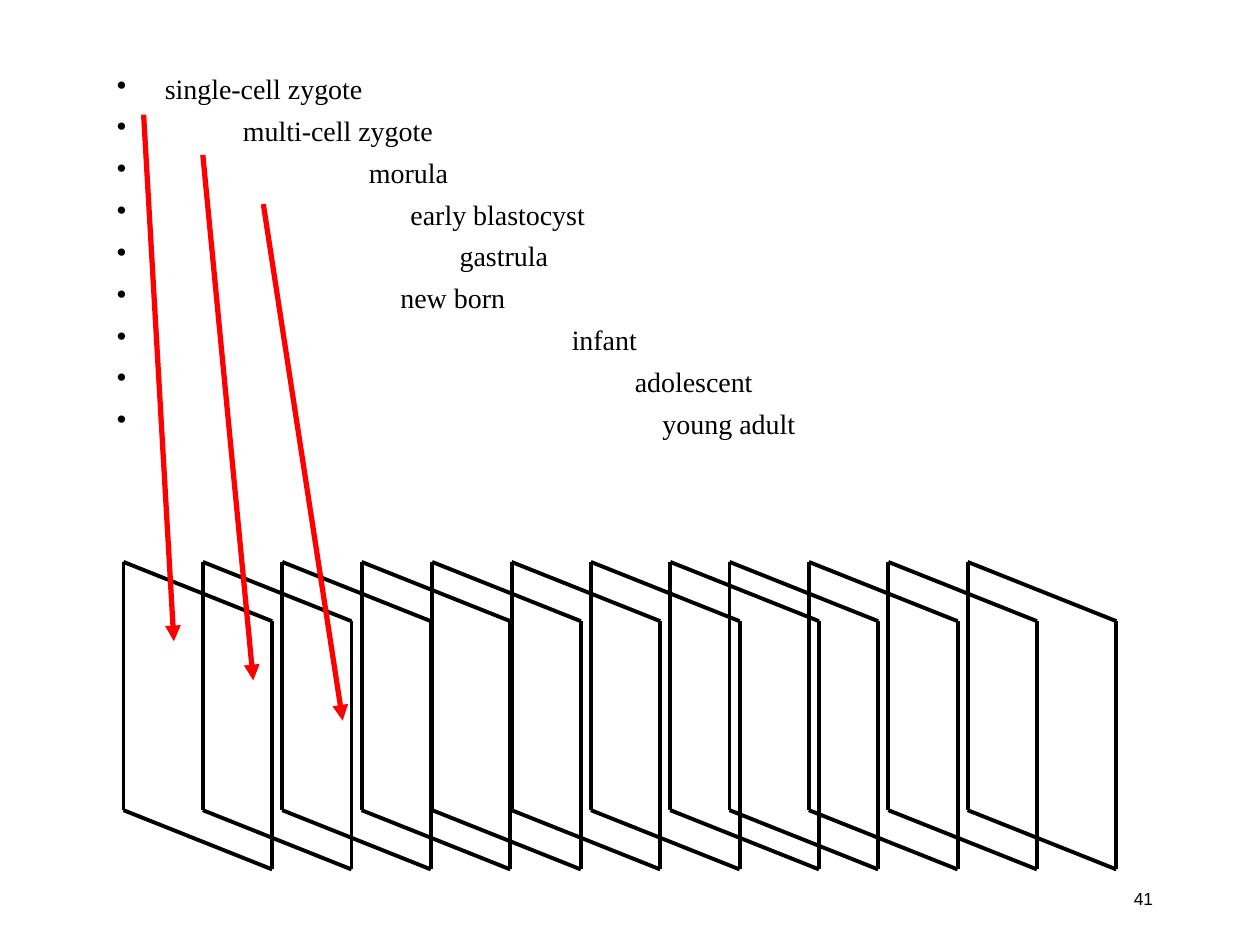
from dataclasses import dataclass

from pptx import Presentation
from pptx import util as u
from pptx.dml.color import RGBColor
from pptx.enum import shapes, text
from pptx.oxml import ns
from lxml import etree


@dataclass(frozen=True)
class Theme:
    ink: RGBColor = RGBColor(0, 0, 0)
    paper: RGBColor = RGBColor(255, 255, 255)
    accent: RGBColor = RGBColor(255, 0, 0)
    body_font: str = "Times New Roman"
    number_font: str = "Arial"
    body_size: float = 16
    number_size: float = 10
    stage_gap: float = 4.7
    frame_line: float = 2.25
    arrow_line: float = 3


THEME = Theme()

STAGES = [
    ("single-cell zygote", 0.38),
    ("multi-cell zygote", 1),
    ("morula", 2),
    ("early blastocyst", 2.33),
    ("gastrula", 2.72),
    ("new born", 2.25),
    ("infant", 3.61),
    ("adolescent", 4.11),
    ("young adult", 4.33),
]

STAGE_ARROWS = [
    ((1.14, 0.91), (1.38, 5.09)),
    ((1.61, 1.23), (2.01, 5.4)),
    ((2.09, 1.62), (2.72, 5.72)),
]

FRAME_ROW_STARTS = (0.98, 3.43, 5.79)
FRAMES_PER_ROW = 4
FRAME_STEP = 0.63


def add_child(parent, tag, **attributes):
    return etree.SubElement(parent, ns.qn(tag), **attributes)


def write_text(paragraph, content, font, size, color, bullet_indent=None, space_before=0):
    if bullet_indent is not None:
        properties = paragraph._p.get_or_add_pPr()
        properties.set("marL", str(u.Inches(bullet_indent)))
        properties.set("indent", str(-u.Inches(bullet_indent)))
        bullet_color = add_child(properties, "a:buClr")
        add_child(bullet_color, "a:srgbClr", val=str(color))
        add_child(properties, "a:buChar", char="•")
    paragraph.space_before = u.Pt(space_before)
    run = paragraph.add_run()
    run.text = content
    run.font.name = font
    run.font.size = u.Pt(size)
    run.font.color.rgb = color


def add_line(container, start, end, color, width, arrow=False):
    points = [u.Inches(value) for value in (*start, *end)]
    connector = container.add_connector(shapes.MSO_CONNECTOR.STRAIGHT, *points)
    connector.line.color.rgb = color
    connector.line.width = u.Pt(width)
    if arrow:
        add_child(connector.line._get_or_add_ln(), "a:tailEnd", type="triangle")
    add_child(connector._element.spPr, "a:effectLst")


def add_stage_list(slide, left, top, width, height):
    box = slide.shapes.add_textbox(*map(u.Inches, (left, top, width, height)))
    box.fill.solid()
    box.fill.fore_color.rgb = THEME.paper
    fill_color = box._element.spPr.find(".//" + ns.qn("a:srgbClr"))
    add_child(fill_color, "a:alpha", val="27000")
    frame = box.text_frame
    frame.word_wrap = True
    for index, (stage, indent) in enumerate(STAGES):
        paragraph = frame.add_paragraph() if index else frame.paragraphs[0]
        write_text(paragraph, stage, THEME.body_font, THEME.body_size, THEME.ink,
                   bullet_indent=indent,
                   space_before=THEME.stage_gap if index else 0)


def add_film_frame(slide, left, top, width, height, slant=0.47):
    group = slide.shapes.add_group_shape()
    right = left + width
    bottom = top + height
    top_left, top_right = (left, top), (right, top + slant)
    bottom_left, bottom_right = (left, bottom - slant), (right, bottom)
    edges = [
        (top_left, bottom_left),
        (top_left, top_right),
        (bottom_left, bottom_right),
        (top_right, bottom_right),
    ]
    for start, end in edges:
        add_line(group.shapes, start, end, THEME.ink, THEME.frame_line)


def add_film_strip(slide, top, frame_width, frame_height):
    for row_start in FRAME_ROW_STARTS:
        for index in range(FRAMES_PER_ROW):
            add_film_frame(slide, row_start + index * FRAME_STEP, top,
                           frame_width, frame_height)


def add_stage_arrows(slide):
    for start, end in STAGE_ARROWS:
        add_line(slide.shapes, start, end, THEME.accent, THEME.arrow_line, arrow=True)


def add_page_number(slide, left, top, width, height):
    box = slide.shapes.add_textbox(*map(u.Inches, (left, top, width, height)))
    box.text_frame.word_wrap = False
    box.text_frame.auto_size = text.MSO_AUTO_SIZE.SHAPE_TO_FIT_TEXT
    write_text(box.text_frame.paragraphs[0], "41",
               THEME.number_font, THEME.number_size, THEME.ink)


def main():
    presentation = Presentation()
    presentation.slide_width = u.Inches(10)
    presentation.slide_height = u.Inches(7.5)
    slide = presentation.slides.add_slide(presentation.slide_layouts[6])
    add_page_number(slide, 8.9, 7, 0.36, 0.27)
    add_stage_list(slide, 0.83, 0.52, 9, 6.21)
    add_film_strip(slide, 4.46, 1.18, 2.44)
    add_stage_arrows(slide)
    presentation.save("out.pptx")


if __name__ == "__main__":
    main()
